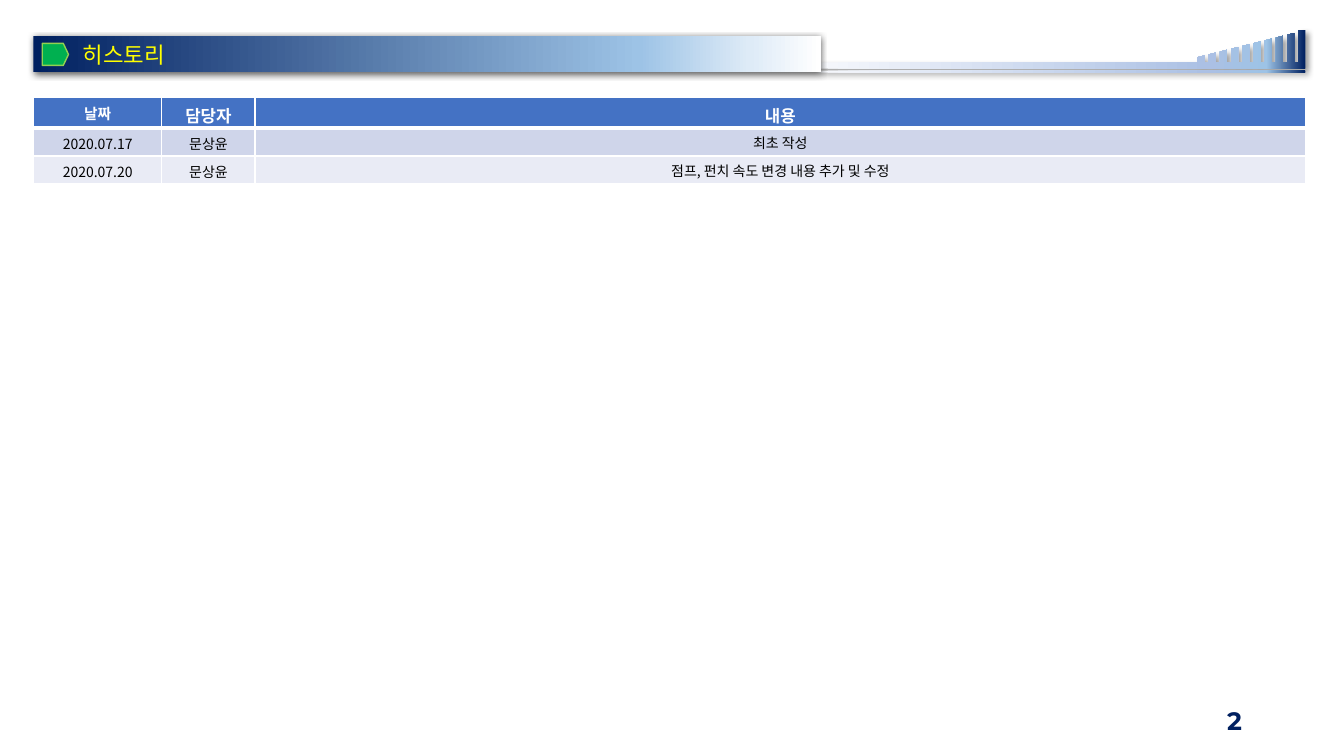
import dataclasses

import lxml.etree
import pptx
import pptx.dml.color
import pptx.enum.shapes
import pptx.enum.text
import pptx.oxml.ns
import pptx.util

Pt = pptx.util.Pt
qn = pptx.oxml.ns.qn
SHAPES = pptx.enum.shapes.MSO_SHAPE
ALIGN = pptx.enum.text.PP_ALIGN
MIDDLE = pptx.enum.text.MSO_ANCHOR.MIDDLE


@dataclasses.dataclass(frozen=True)
class Theme:
    """Colours, fonts and type sizes of the page."""
    navy: str = "002060"
    white: str = "FFFFFF"
    black: str = "000000"
    title: str = "FFFF00"
    marker: str = "00B050"
    marker_line: str = "92D050"
    header: str = "4472C4"
    bands: tuple = ("CFD5EA", "E9EBF5")
    title_stops: tuple = ((0, "002060"), (77, "9DC3E6"), (91, "DEEBF7"), (100, "FFFFFF"))
    stair_stops: tuple = ((0, "F6F8FC"), (80, "ABC0E4"), (92, "9DC3E6"), (100, "002060"))
    body_font: str = "Noto Sans CJK KR"
    number_font: str = "Montserrat"
    number_size: float = 18
    title_size: float = 16
    header_size: float = 12
    date_header_size: float = 10.5
    body_size: float = 10


THEME = Theme()


def rgb(value):
    """Return a colour object for a hex value."""
    return pptx.dml.color.RGBColor.from_string(value)


def add_node(parent, tag, **attributes):
    """Append an XML child with the given attributes."""
    node = lxml.etree.SubElement(parent, qn(tag))
    for name, value in attributes.items():
        node.set(name, str(value))
    return node


def write_text(frame, text, *, size, color, font=THEME.body_font, bold=False, align=ALIGN.LEFT):
    """Put one formatted paragraph into a text frame."""
    frame.word_wrap = True
    para = frame.paragraphs[0]
    para.alignment = align
    span = para.add_run()
    span.text = text
    span.font.size = Pt(size)
    span.font.bold = bold
    span.font.name = font
    span.font.color.rgb = rgb(color)
    add_node(span.font._element, "a:ea", typeface=font)


def fill_gradient(shape, stops):
    """Fill a shape with a left-to-right gradient and no outline."""
    shape.fill.gradient()
    shape.fill.gradient_angle = 0
    stop_list = shape._element.spPr.find(qn("a:gradFill")).find(qn("a:gsLst"))
    for old_stop in list(stop_list):
        stop_list.remove(old_stop)
    for position, color in stops:
        stop = add_node(stop_list, "a:gs", pos=position * 1000)
        add_node(stop, "a:srgbClr", val=color)
    shape.line.fill.background()


def add_shadow(shape, *, alpha, blur, distance, angle):
    """Give a shape a soft black outer shadow."""
    shape.shadow.inherit = False
    effects = shape._element.spPr.find(qn("a:effectLst"))
    shadow = add_node(effects, "a:outerShdw", blurRad=Pt(blur), dist=Pt(distance),
                      dir=angle * 60000, algn="tl", rotWithShape=0)
    color = add_node(shadow, "a:srgbClr", val=THEME.black)
    add_node(color, "a:alpha", val=alpha * 1000)


def add_stairs(page):
    """Draw the rising bars with their base strip and underline."""
    left, right, top, base = 583.9, 932.4, 21.6, 44.6
    first_bar, step, bar_width, slope = 855.4, 8, 5, 0.25
    underline = [(left, 50.4), (right, 50.4), (right, 51.8), (left, 51.8)]
    outline = [(right, top), (right, 49), (left, 49), (left, base)]
    for index in range(10):
        start = first_bar + index * step
        end = start + bar_width
        outline += [(start, base), (start, top + (right - start) * slope)]
        if index < 9:
            outline += [(end, top + (right - end) * slope), (end, base)]
    outline[-1] = (outline[-1][0], top)
    contours = [[(Pt(x), Pt(y)) for x, y in points] for points in (underline, outline)]
    builder = page.shapes.build_freeform(*contours[0][0], scale=1.0)
    builder.add_line_segments(contours[0][1:], close=True)
    builder.move_to(*contours[1][0])
    builder.add_line_segments(contours[1][1:], close=True)
    stairs = builder.convert_to_shape()
    fill_gradient(stairs, THEME.stair_stops)
    add_shadow(stairs, alpha=40, blur=4, distance=3, angle=45)


def add_title(page, text):
    """Draw the title bar and its green marker."""
    bar = page.shapes.add_shape(SHAPES.RECTANGLE, Pt(23.8), Pt(25.9), Pt(562.3), Pt(25.9))
    fill_gradient(bar, THEME.title_stops)
    add_shadow(bar, alpha=63, blur=4.5, distance=1.5, angle=90)
    bar.text_frame.margin_left = Pt(35.3)
    bar.text_frame.vertical_anchor = MIDDLE
    write_text(bar.text_frame, text, size=THEME.title_size, color=THEME.title)
    marker = page.shapes.add_shape(SHAPES.FLOWCHART_OFFPAGE_CONNECTOR,
                                   Pt(31.7), Pt(29.5), Pt(15.8), Pt(18.7))
    marker.rotation = 270
    marker.shadow.inherit = False
    marker.fill.solid()
    marker.fill.fore_color.rgb = rgb(THEME.marker)
    marker.line.color.rgb = rgb(THEME.marker_line)
    marker.line.width = Pt(1)


def style_cell(cell, text, *, fill, top=1, bottom=1, **text_format):
    """Write, fill and border one table cell."""
    cell.vertical_anchor = MIDDLE
    write_text(cell.text_frame, text, align=ALIGN.CENTER, **text_format)
    properties = cell._tc.get_or_add_tcPr()
    for side, width in zip("LRTB", (1, 1, top, bottom)):
        border = add_node(properties, f"a:ln{side}", w=Pt(width))
        add_node(add_node(border, "a:solidFill"), "a:srgbClr", val=THEME.white)
    cell.fill.solid()
    cell.fill.fore_color.rgb = rgb(fill)


def add_history(page, headings, entries):
    """Add the revision table."""
    widths = (91.8, 66.6, 750.4)
    row_height = 20
    table = page.shapes.add_table(len(entries) + 1, len(headings), Pt(23.8), Pt(69.8),
                                  Pt(sum(widths)), Pt(row_height * (len(entries) + 1))).table
    for column, width in zip(table.columns, widths):
        column.width = Pt(width)
    for index, heading in enumerate(headings):
        size = THEME.header_size if index else THEME.date_header_size
        style_cell(table.cell(0, index), heading, fill=THEME.header, bottom=3,
                   size=size, color=THEME.white, bold=True)
    for row, entry in enumerate(entries, start=1):
        for index, text in enumerate(entry):
            cell = table.cell(row, index)
            style_cell(cell, text, fill=THEME.bands[(row - 1) % 2], top=3 if row == 1 else 1,
                       size=THEME.body_size, color=THEME.black)
        cell.margin_left = cell.margin_right = cell.margin_top = cell.margin_bottom = 0


def add_page_number(page, number):
    """Add the page number at the lower right."""
    box = page.shapes.add_textbox(Pt(678.2), Pt(500.4), Pt(216), Pt(28.8))
    box.text_frame.vertical_anchor = MIDDLE
    write_text(box.text_frame, number, size=THEME.number_size, color=THEME.navy,
               font=THEME.number_font, bold=True, align=ALIGN.RIGHT)


def main():
    """Build and save the deck."""
    deck = pptx.Presentation()
    deck.slide_width, deck.slide_height = Pt(960), Pt(540)
    page = deck.slides.add_slide(deck.slide_layouts[6])
    add_page_number(page, "2")
    add_stairs(page)
    add_title(page, "히스토리")
    add_history(page, ("날짜", "담당자", "내용"), (
        ("2020.07.17", "문상윤", "최초 작성"),
        ("2020.07.20", "문상윤", "점프, 펀치 속도 변경 내용 추가 및 수정"),
    ))
    deck.save("out.pptx")


if __name__ == "__main__":
    main()
